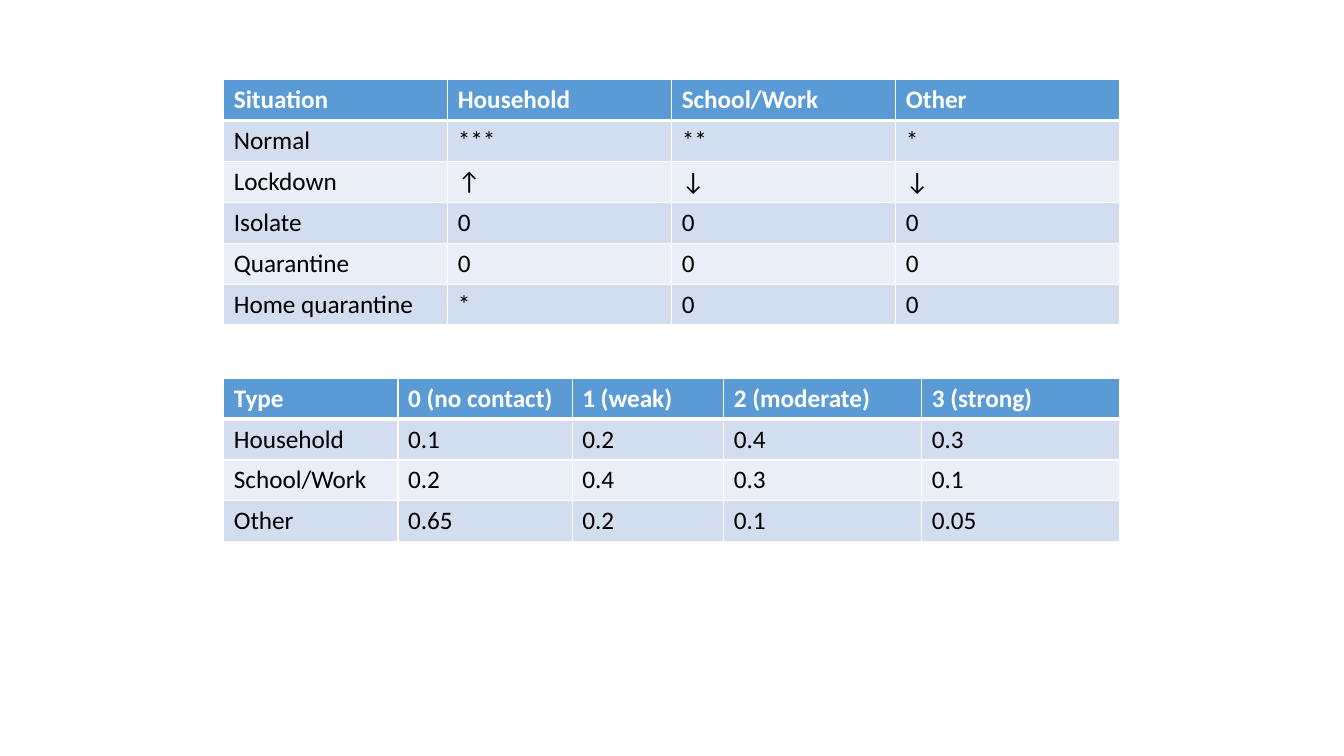
from lxml.etree import SubElement
from pptx import Presentation
from pptx.dml.color import RGBColor
from pptx.oxml.ns import qn
from pptx.util import Cm, Pt

HEADER = RGBColor(0x5B, 0x9B, 0xD5)
BANDS = (RGBColor(0xEA, 0xEF, 0xF7), RGBColor(0xD2, 0xDE, 0xEF))
WHITE = RGBColor(0xFF, 0xFF, 0xFF)
BLACK = RGBColor(0x00, 0x00, 0x00)

LEFT, WIDTH, ROW_HEIGHT = 5.64, 22.58, 1.03

SITUATIONS = [
    ("Situation", "Household", "School/Work", "Other"),
    ("Normal", "***", "**", "*"),
    ("Lockdown", "↑", "↓", "↓"),
    ("Isolate", "0", "0", "0"),
    ("Quarantine", "0", "0", "0"),
    ("Home quarantine", "*", "0", "0"),
]
CONTACT_TYPES = [
    ("Type", "0 (no contact)", "1 (weak)", "2 (moderate)", "3 (strong)"),
    ("Household", "0.1", "0.2", "0.4", "0.3"),
    ("School/Work", "0.2", "0.4", "0.3", "0.1"),
    ("Other", "0.65", "0.2", "0.1", "0.05"),
]


def set_borders(cell, row):
    """White rules, thicker between the header and the first body row."""
    tc_pr = cell._tc.get_or_add_tcPr()
    thick_side = {0: "lnB", 1: "lnT"}.get(row)
    for side in ("lnL", "lnR", "lnT", "lnB"):
        width = Pt(3 if side == thick_side else 1)
        ln = SubElement(tc_pr, qn(f"a:{side}"), w=str(width))
        fill = SubElement(ln, qn("a:solidFill"))
        SubElement(fill, qn("a:srgbClr"), val=str(WHITE))


def format_cell(cell, text, row):
    is_header = row == 0
    set_borders(cell, row)
    cell.fill.solid()
    cell.fill.fore_color.rgb = HEADER if is_header else BANDS[row % 2]
    p = cell.text_frame.paragraphs[0]
    p.text = text
    p.font.name = "Calibri"
    p.font.size = Pt(18)
    p.font.bold = is_header
    p.font.color.rgb = WHITE if is_header else BLACK


def add_banded_table(s, rows, left, top, col_widths):
    frame = s.shapes.add_table(len(rows), len(col_widths), Cm(left), Cm(top),
                               Cm(sum(col_widths)), Cm(ROW_HEIGHT * len(rows)))
    table = frame.table
    for column, width in zip(table.columns, col_widths):
        column.width = Cm(width)
    for r, texts in enumerate(rows):
        table.rows[r].height = Cm(ROW_HEIGHT)
        for c, text in enumerate(texts):
            format_cell(table.cell(r, c), text, r)


prs = Presentation()
prs.slide_width, prs.slide_height = Cm(33.87), Cm(19.05)
s = prs.slides.add_slide(prs.slide_layouts[6])

# Contact strength by situation
add_banded_table(s, SITUATIONS, LEFT, 2.01, [WIDTH / 4] * 4)

# Probability of each strength by contact type
add_banded_table(s, CONTACT_TYPES, LEFT, 9.53, [4.39, 4.39, 3.82, 4.99, 4.99])

prs.save("out.pptx")
